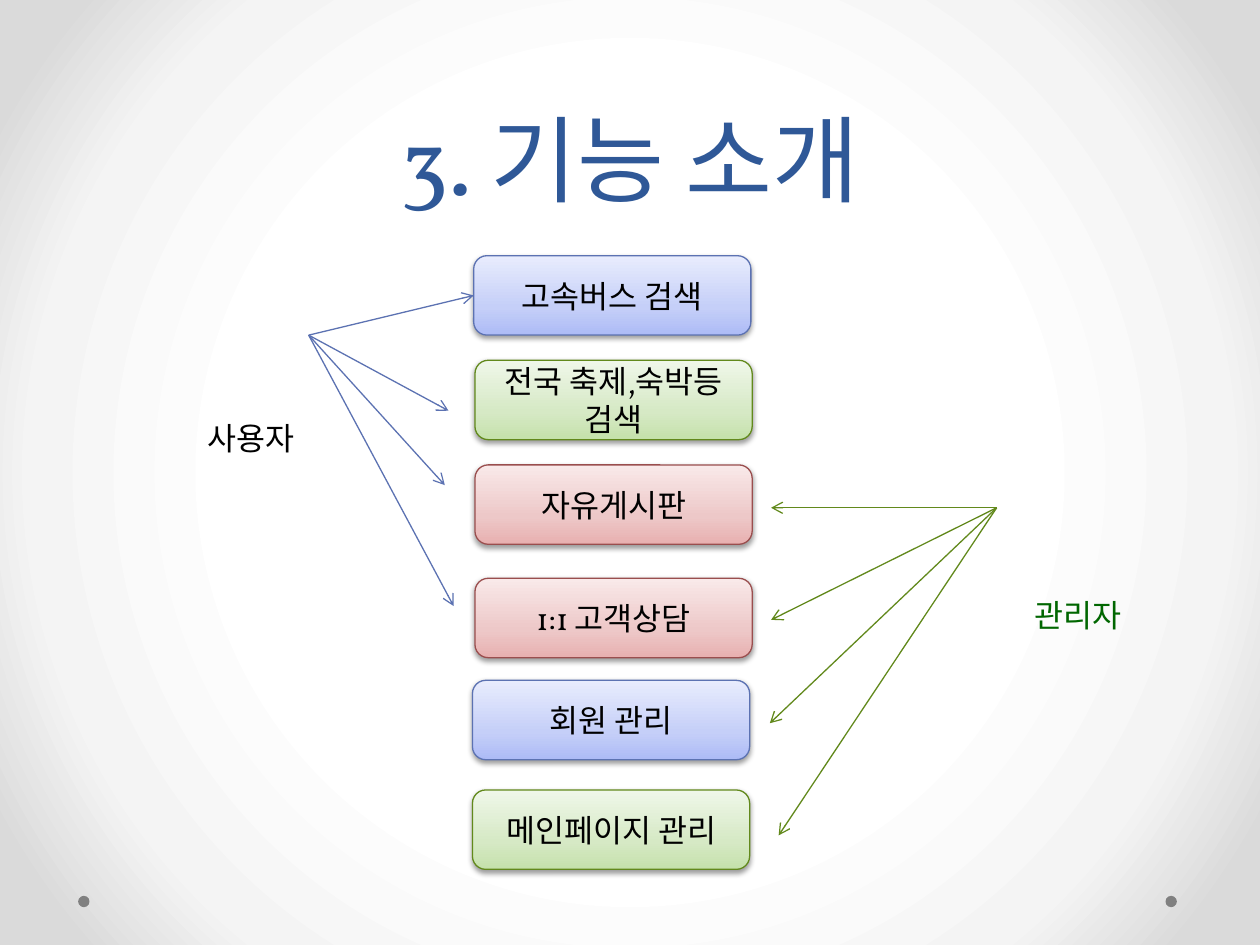
from dataclasses import dataclass

from lxml import etree
from pptx import Presentation
from pptx.dml.color import RGBColor
from pptx.enum.shapes import MSO_CONNECTOR, MSO_SHAPE
from pptx.enum.text import MSO_ANCHOR, PP_ALIGN
from pptx.oxml import parse_xml
from pptx.oxml.ns import qn
from pptx.util import Inches, Pt

ROUND, OVAL = MSO_SHAPE.ROUNDED_RECTANGLE, MSO_SHAPE.OVAL
STRAIGHT = MSO_CONNECTOR.STRAIGHT
CENTER, LEFT = PP_ALIGN.CENTER, PP_ALIGN.LEFT
MIDDLE, BOTTOM = MSO_ANCHOR.MIDDLE, MSO_ANCHOR.BOTTOM
SPACE = "http://schemas.openxmlformats.org/drawingml/2006/main"
COLS, ROWS = 100, 75


@dataclass(frozen=True)
class Theme:
    """Colours, font and type sizes of the slide."""
    font: str = "Vollkorn"
    head: int = 54
    lead: int = 58
    body: int = 18
    line: float = 0.75
    title: str = "2F5897"
    ink: str = "000000"
    admin: str = "006600"
    dot: str = "808080"
    blue: tuple = ("5C72B2", "ADBBF6", "C5CFF8", "E8ECFD")
    green: tuple = ("62891C", "C5E1AB", "D6E9C5", "EFF7E9")
    red: tuple = ("9A4E4E", "E8B0B0", "EDC8C8", "F9E9E9")
    back: tuple = ((50, "FFFFFF"), (76, "F4F4F4"), (92, "DADADA"))


LOOK = Theme()


def cell(*units):
    """Turn grid cells, a tenth of an inch each, into lengths."""
    return [Inches(unit / 10) for unit in units]


def shade(fill, stops, kind):
    """Replace a solid fill in its parent by a gradient of several stops."""
    parts = "".join(f'<a:gs pos="{pos * 1000}"><a:srgbClr val="{tint}"/></a:gs>'
                    for pos, tint in stops)
    grad = parse_xml(f'<a:gradFill xmlns:a="{SPACE}" rotWithShape="1">'
                     f'<a:gsLst>{parts}</a:gsLst>{kind}</a:gradFill>')
    fill.getparent().replace(fill, grad)


def write(shape, text, size, tint, align):
    """Set the text of a shape and format its run."""
    shape.text_frame.text = text
    para = shape.text_frame.paragraphs[0]
    para.alignment = align
    font = para.runs[0].font
    font.name, font.size = LOOK.font, Pt(size)
    font.color.rgb = RGBColor.from_string(tint)
    return para


def backdrop(slide):
    """Paint the round gradient and the two footer dots."""
    fill = slide.background.fill
    fill.solid()
    solid = next(slide.element.iter(qn("a:solidFill")))
    shade(solid, LOOK.back, '<a:path path="circle"><a:fillToRect l="50000" '
          't="50000" r="50000" b="50000"/></a:path>')
    for left in (6.2, 92.5):
        dot = slide.shapes.add_shape(OVAL, *cell(left, 71.1, 0.9, 0.9))
        dot.shadow.inherit = False
        dot.fill.solid()
        dot.fill.fore_color.rgb = RGBColor.from_string(LOOK.dot)
        dot.line.fill.background()


def heading(slide, box, text):
    """Place and format the title."""
    title = slide.shapes.title
    title.left, title.top, title.width, title.height = cell(*box)
    title.text_frame.vertical_anchor = BOTTOM
    para = write(title, text, LOOK.head, LOOK.title, CENTER)
    para.line_spacing = Pt(LOOK.lead)


def button(slide, box, text, tone):
    """Draw one shaded, rounded menu button."""
    shape = slide.shapes.add_shape(ROUND, *cell(*box))
    shape.fill.solid()
    edge, *tints = tone
    shade(shape.element.spPr.find(qn("a:solidFill")),
          zip((0, 35, 100), tints), '<a:lin ang="16200000" scaled="0"/>')
    shape.line.color.rgb = RGBColor.from_string(edge)
    shape.line.width = Pt(LOOK.line)
    shape.shadow.inherit = False
    shape.element.spPr.find(qn("a:effectLst")).append(parse_xml(
        f'<a:outerShdw xmlns:a="{SPACE}" blurRad="{Pt(3.1)}" dist="{Pt(1.6)}" '
        'dir="5400000" rotWithShape="0"><a:srgbClr val="000000">'
        '<a:alpha val="38000"/></a:srgbClr></a:outerShdw>'))
    shape.text_frame.word_wrap = True
    shape.text_frame.vertical_anchor = MIDDLE
    write(shape, text, LOOK.body, LOOK.ink, CENTER)
    return shape


def menu(slide, box, items):
    """Stack the feature buttons inside the box."""
    left, top, wide, high = box
    return [button(slide, (left + dx, top + dy, wide, high), text, tone)
            for dx, dy, text, tone in items]


def arrow(slide, start, end, tint):
    """Draw a thin line with an open arrowhead at its end."""
    line = slide.shapes.add_connector(STRAIGHT, *cell(*start, *end))
    line.line.color.rgb = RGBColor.from_string(tint)
    line.line.width = Pt(LOOK.line)
    etree.SubElement(line.line._get_or_add_ln(), qn("a:tailEnd"), type="arrow")
    etree.SubElement(line.element.spPr, qn("a:effectLst"))
    return line


def actor(slide, box, name, spot, hub, tips, tint, edge):
    """Label one role and fan its arrows out from a hub."""
    left, top, wide, high = box
    label = slide.shapes.add_textbox(
        *cell(left + spot[0], top + spot[1], wide, high))
    label.text_frame.word_wrap = False
    write(label, name, LOOK.body, tint, LEFT)
    start = (left + hub[0], top + hub[1])
    return [arrow(slide, start, (left + dx, top + dy), edge)
            for dx, dy in tips]


def main():
    """Build and save the slide."""
    deck = Presentation()
    deck.slide_width, deck.slide_height = cell(COLS, ROWS)
    slide = deck.slides.add_slide(deck.slide_layouts[5])
    backdrop(slide)
    heading(slide, (5, 0, 90, 17.5), "3. 기능 소개")
    items = [
        (0.1, 0, "고속버스 검색", LOOK.blue),
        (0.2, 8.3, "전국 축제,숙박등 검색", LOOK.green),
        (0.2, 16.6, "자유게시판", LOOK.red),
        (0.2, 25.6, "1:1 고객상담", LOOK.red),
        (0, 33.7, "회원 관리", LOOK.blue),
        (0, 42.4, "메인페이지 관리", LOOK.green),
    ]
    first = menu(slide, (37.5, 20.3, 22, 6.3), items)[0]
    fan = actor(slide, (15.5, 20.3, 9.6, 4), "사용자", (0, 12.5), (9, 6.3),
                [(22.1, 3.1), (20.1, 12.3), (19.8, 18.2), (20.5, 27.8)],
                LOOK.ink, LOOK.blue[0])
    fan[0].end_connect(first, 1)
    actor(slide, (61.1, 40.3, 9.6, 4), "관리자", (20, 6.5), (18, 0),
          [(0.1, 0), (0.1, 8.9), (0, 17.1), (0.7, 26)],
          LOOK.admin, LOOK.green[0])
    deck.save("out.pptx")


if __name__ == "__main__":
    main()
